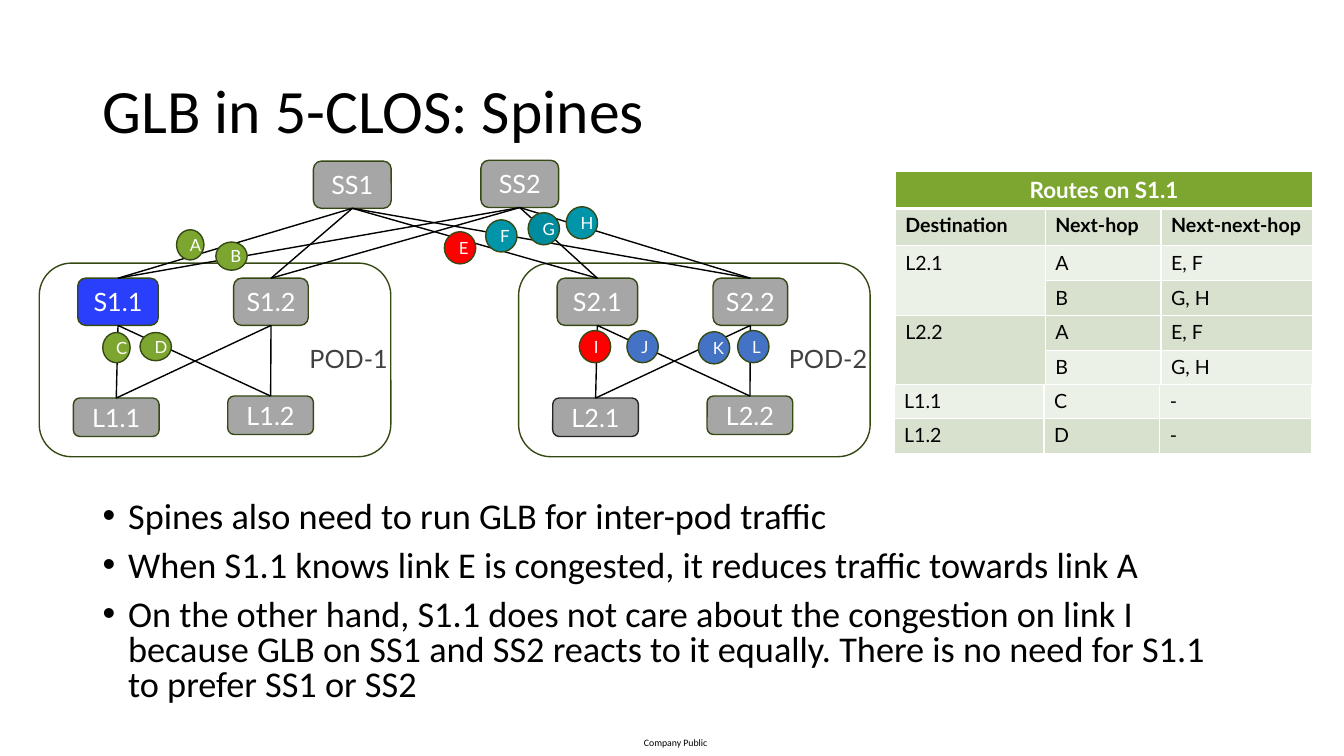
import lxml.etree
import pptx
import pptx.dml.color
import pptx.enum.shapes
import pptx.enum.text
import pptx.oxml.ns
import pptx.util

Cm, Pt = pptx.util.Cm, pptx.util.Pt
SHAPE = pptx.enum.shapes.MSO_SHAPE
ALIGN = pptx.enum.text.PP_ALIGN
ANCHOR = pptx.enum.text.MSO_ANCHOR
qn = pptx.oxml.ns.qn

GREEN, TEAL, DARK_TEAL, BLUE, RED = "7CA630", "0095A9", "008C9E", "4472C4", "FF0000"
GREY, LIGHT_GREY, SPINE_BLUE = "A5A5A5", "A6A6A6", "293FFB"
OUTLINE, DARK_OUTLINE = "364915", "262626"
PALE, SAGE = "ECF1E8", "D7E1CD"
WHITE, BLACK, LABEL_GREY = "FFFFFF", "000000", "414141"

POD_SHIFT = 12.08
COLUMNS = (3.78, 2.92, 3.83)

BADGES = [
    ("A", 4.45, 5.79, 0.69, 0.76, GREEN),
    ("B", 5.44, 6.1, 0.79, 0.71, GREEN),
    ("C", 2.59, 8.38, 0.69, 0.76, GREEN),
    ("D", 3.53, 8.38, 0.79, 0.71, GREEN),
    ("E", 11.2, 5.84, 0.79, 0.81, RED),
    ("F", 12.24, 5.54, 0.79, 0.81, TEAL),
    ("G", 13.31, 5.36, 0.79, 0.81, DARK_TEAL),
    ("H", 14.27, 5.21, 0.79, 0.81, TEAL),
    ("I", 14.6, 8.33, 0.79, 0.81, RED),
    ("J", 15.8, 8.33, 0.79, 0.81, BLUE),
    ("K", 17.6, 8.36, 0.79, 0.81, BLUE),
    ("L", 18.59, 8.33, 0.79, 0.81, BLUE),
]

ROUTES = [
    (("Routes on S1.1", "", ""), (GREEN,) * 3),
    (("Destination", "Next-hop", "Next-next-hop"), (SAGE,) * 3),
    (("L2.1", "A", "E, F"), (PALE,) * 3),
    (("", "B", "G, H"), (PALE, SAGE, SAGE)),
    (("L2.2", "A", "E, F"), (SAGE,) * 3),
    (("", "B", "G, H"), (SAGE, PALE, PALE)),
]

BULLETS = [
    "Spines also need to run GLB for inter-pod traffic",
    "When S1.1 knows link E is congested, it reduces traffic towards link A",
    "On the other hand, S1.1 does not care about the congestion on link I because GLB on "
    "SS1 and SS2 reacts to it equally. There is no need for S1.1 to prefer SS1 or SS2",
]


def rgb(value):
    return pptx.dml.color.RGBColor.from_string(value)


class Deck:
    def __init__(self):
        self.prs = pptx.Presentation()
        self.prs.slide_width, self.prs.slide_height = Cm(33.87), Cm(19.05)
        self.slide = self.prs.slides.add_slide(self.prs.slide_layouts[6])
        self.shapes = self.slide.shapes

    def style(self, p, size, color, font="Lato", bold=False):
        for r in p.runs:
            r.font.name, r.font.size, r.font.bold = font, Pt(size), bold
            r.font.color.rgb = rgb(color)

    def text(self, box, lines, size, color=BLACK, font="Calibri", inset=True):
        sp = self.shapes.add_textbox(*map(Cm, box))
        tf = sp.text_frame
        tf.word_wrap = True
        if not inset:
            tf.margin_left = tf.margin_right = tf.margin_top = tf.margin_bottom = 0
        tf.text = "\n".join(lines)
        for p in tf.paragraphs:
            self.style(p, size, color, font)
        return tf

    def bullets(self, box, lines, size):
        for p in self.text(box, lines, size).paragraphs:
            p.line_spacing, p.space_before = 0.8, Pt(10)
            pPr = p._p.get_or_add_pPr()
            pPr.set("marL", str(Cm(0.64)))
            pPr.set("indent", str(-Cm(0.64)))
            lxml.etree.SubElement(pPr, qn("a:buFont")).set("typeface", "Arial")
            lxml.etree.SubElement(pPr, qn("a:buChar")).set("char", "•")

    def shape(self, kind, box, fill=None, label="", size=18, line=OUTLINE):
        sp = self.shapes.add_shape(kind, *map(Cm, box))
        sp.shadow.inherit = False
        if fill:
            sp.fill.solid()
            sp.fill.fore_color.rgb = rgb(fill)
        else:
            sp.fill.background()
        sp.line.color.rgb, sp.line.width = rgb(line), Pt(1)
        if label:
            tf = sp.text_frame
            tf.text = label
            tf.word_wrap, tf.vertical_anchor = True, ANCHOR.MIDDLE
            tf.paragraphs[0].alignment = ALIGN.CENTER
            self.style(tf.paragraphs[0], size, WHITE)
        return sp

    def node(self, label, box, fill=LIGHT_GREY, line=OUTLINE):
        return self.shape(SHAPE.ROUNDED_RECTANGLE, box, fill, label, line=line)

    def link(self, lower, upper):
        """Join the top of the lower node to the bottom of the upper one."""
        cxn = self.shapes.add_connector(pptx.enum.shapes.MSO_CONNECTOR.STRAIGHT, 0, 0, 0, 0)
        cxn.begin_connect(lower, 0)
        cxn.end_connect(upper, 2)
        cxn.line.color.rgb, cxn.line.width = rgb(BLACK), Pt(1)
        lxml.etree.SubElement(cxn._element.spPr, qn("a:effectLst"))

    def pod(self, number, shift, spine_fill, leaf_line):
        """Draw one pod and return its two spines."""
        spines = [
            self.node(f"S{number}.1", (1.96 + shift, 7.01, 2.03, 1.19), spine_fill),
            self.node(f"S{number}.2", (5.89 + shift, 7.01, 1.88, 1.19)),
        ]
        leaves = [
            self.node(f"L{number}.1", (1.85 + shift, 10.03, 2.16, 0.97), GREY, leaf_line),
            self.node(f"L{number}.2", (5.74 + shift, 9.98, 2.16, 0.97)),
        ]
        for leaf in leaves:
            for spine in spines:
                self.link(leaf, spine)
        self.shape(SHAPE.ROUNDED_RECTANGLE, (0.99 + shift, 6.63, 8.86, 4.88))
        tf = self.text((7.8 + shift, 8.66, 2.08, 0.76), [f"POD-{number}"], 18,
                       LABEL_GREY, "Lato", inset=False)
        tf.paragraphs[0].space_before = Pt(6)
        return spines

    def borders(self, cell, **widths):
        tcPr = cell._tc.get_or_add_tcPr()
        for i, side in enumerate("LRTB"):
            ln = lxml.etree.Element(qn(f"a:ln{side}"), w=str(Pt(widths.get(side, 1))))
            fill = lxml.etree.SubElement(ln, qn("a:solidFill"))
            lxml.etree.SubElement(fill, qn("a:srgbClr")).set("val", WHITE)
            tcPr.insert(i, ln)

    def table(self, left, top, rows, heights, header=False):
        frame = self.shapes.add_table(len(rows), len(COLUMNS), Cm(left), Cm(top),
                                      Cm(sum(COLUMNS)), Cm(sum(heights)))
        table = frame.table
        table.first_row = table.horz_banding = False
        for column, width in zip(table.columns, COLUMNS):
            column.width = Cm(width)
        for i, (texts, fills) in enumerate(rows):
            table.rows[i].height = Cm(heights[i])
            is_title = header and i == 0
            for j, (text, fill) in enumerate(zip(texts, fills)):
                cell = table.cell(i, j)
                cell.text = text
                cell.fill.solid()
                cell.fill.fore_color.rgb = rgb(fill)
                self.borders(cell, B=3 if is_title else 1, T=3 if header and i == 1 else 1)
                p = cell.text_frame.paragraphs[0]
                if is_title:
                    p.alignment = ALIGN.CENTER
                self.style(p, 16 if is_title else 14, WHITE if is_title else BLACK,
                           bold=header and i < 2)
        return table


def main():
    deck = Deck()
    deck.text((16.23, 18.57, 2.2, 0.3), ["Company Public"], 7, inset=False)
    title = deck.text((2.34, 1.02, 29.21, 3.68), ["GLB in 5-CLOS: Spines"], 44)
    title.vertical_anchor = ANCHOR.MIDDLE
    title.paragraphs[0].line_spacing = 0.9
    deck.bullets((2.34, 12.52, 29.21, 5.51), BULLETS, 25.9)

    spines = deck.pod(1, 0, SPINE_BLUE, OUTLINE)
    spines += deck.pod(2, POD_SHIFT, LIGHT_GREY, DARK_OUTLINE)
    super_spines = [
        deck.node("SS1", (7.9, 4.06, 1.96, 1.19)),
        deck.node("SS2", (12.12, 4.04, 1.96, 1.19)),
    ]
    for super_spine in super_spines:
        for spine in spines:
            deck.link(spine, super_spine)

    routes = deck.table(22.56, 4.32, ROUTES, (0.89, 0.94) + (0.88,) * 4, header=True)
    routes.cell(0, 0).merge(routes.cell(0, 2))
    for row in (2, 4):
        routes.cell(row, 0).merge(routes.cell(row + 1, 0))
    deck.table(22.53, 9.68, [(("L1.1", "C", "-"), (PALE,) * 3)], (0.88,))
    deck.table(22.53, 10.54, [(("L1.2", "D", "-"), (SAGE,) * 3)], (0.88,))

    for label, left, top, width, height, fill in BADGES:
        deck.shape(SHAPE.OVAL, (left, top, width, height), fill, label, 12)
    deck.prs.save("out.pptx")


if __name__ == "__main__":
    main()
